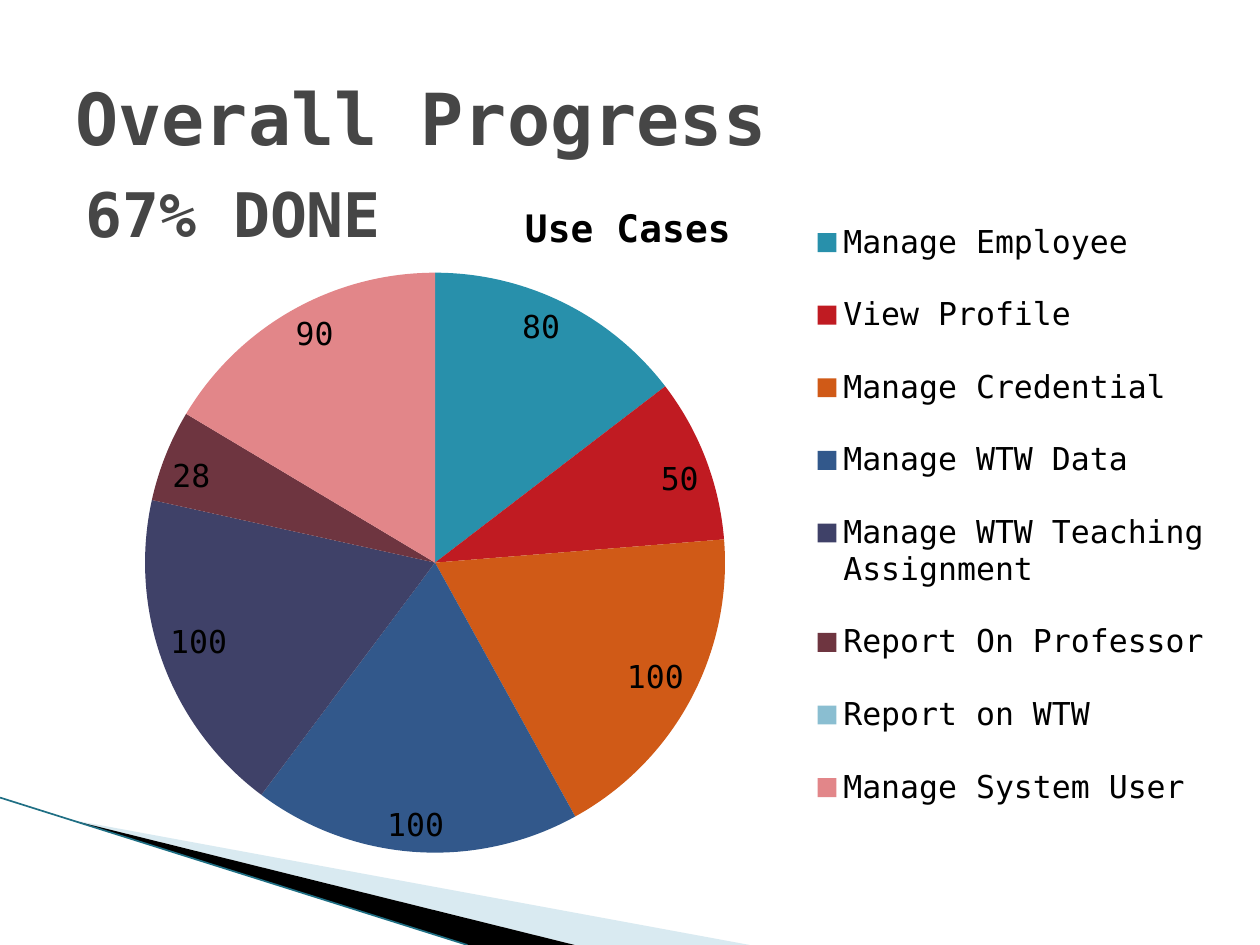
from dataclasses import dataclass

from lxml import etree
from pptx import Presentation
from pptx.chart.data import CategoryChartData
from pptx.dml.color import RGBColor
from pptx.enum.chart import XL_CHART_TYPE as ChartType
from pptx.enum.chart import XL_LABEL_POSITION as LabelPos
from pptx.enum.chart import XL_LEGEND_POSITION as LegendPos
from pptx.enum.shapes import MSO_CONNECTOR as Connector
from pptx.enum.text import MSO_ANCHOR as Anchor
from pptx.oxml import parse_xml
from pptx.oxml.ns import nsdecls, qn
from pptx.util import Inches, Pt


@dataclass(frozen=True)
class Theme:
    """Colours, font and type sizes of the slide."""
    font: str = "DejaVu Sans Mono"
    heading: str = "464646"
    ink: str = "000000"
    pale: str = "A0CBDC"
    edge: str = "1F6F84"
    title_pt: float = 41
    status_pt: float = 35.1
    chart_title_pt: float = 21.6
    chart_pt: float = 18


USE_CASES = [
    ("Manage Employee", 80, "2890AB"),
    ("View Profile", 50, "C01B22"),
    ("Manage Credential", 100, "D05A17"),
    ("Manage WTW Data", 100, "32588B"),
    ("Manage WTW Teaching Assignment", 100, "3F4168"),
    ("Report On Professor", 28, "6E3540"),
    ("Report on WTW", 0, "8ABED1"),
    ("Manage System User", 90, "E28689"),
]


def rgb(code):
    """Turn a hex code into a colour."""
    return RGBColor.from_string(code)


class Deck:
    """Holds the theme and the current slide; lengths are shares of the slide."""

    def __init__(self, theme, width=10, height=7.5):
        """Start a one-slide presentation on the blank layout."""
        self.theme = theme
        self.prs = Presentation()
        self.prs.slide_width, self.prs.slide_height = Inches(width), Inches(height)
        self.slide = self.prs.slides.add_slide(self.prs.slide_layouts[6])

    def x(self, share):
        """Length along the slide width."""
        return round(self.prs.slide_width * share)

    def y(self, share):
        """Length along the slide height."""
        return round(self.prs.slide_height * share)

    def box(self, left, top, width, height):
        """Position and size from four shares."""
        return self.x(left), self.y(top), self.x(width), self.y(height)

    def style(self, font, size, color, bold=False):
        """Set face, size, colour and weight."""
        font.name, font.size, font.bold = self.theme.font, Pt(size), bold
        font.color.rgb = rgb(color)

    def text(self, words, at, size, anchor, spacing=1.0):
        """Add a bold heading."""
        tf = self.slide.shapes.add_textbox(*self.box(*at)).text_frame
        tf.word_wrap, tf.vertical_anchor = True, anchor
        p = tf.paragraphs[0]
        p.line_spacing = spacing
        r = p.add_run()
        r.text = words
        self.style(r.font, size, self.theme.heading, True)

    def wedge(self, points, color, alpha=100):
        """Add a filled polygon without outline."""
        (x0, y0), *rest = [(self.x(a), self.y(b)) for a, b in points]
        fb = self.slide.shapes.build_freeform(x0, y0)
        fb.add_line_segments(rest, close=True)
        sp = fb.convert_to_shape()
        sp.shadow.inherit = False
        sp.fill.solid()
        sp.fill.fore_color.rgb = rgb(color)
        sp.line.fill.background()
        if alpha < 100:
            clr = sp.fill._xPr.find(".//" + qn("a:srgbClr"))
            etree.SubElement(clr, qn("a:alpha")).set("val", str(alpha * 1000))

    def line(self, start, end, color, width):
        """Add a straight line."""
        (x0, y0), (x1, y1) = start, end
        ln = self.slide.shapes.add_connector(
            Connector.STRAIGHT, self.x(x0), self.y(y0), self.x(x1), self.y(y1))
        ln.line.color.rgb, ln.line.width = rgb(color), Pt(width)
        etree.SubElement(ln._element.spPr, qn("a:effectLst"))

    def place(self, element, after, **shares):
        """Fix a chart part at shares of the chart area."""
        for old in element.findall(qn("c:layout")):
            element.remove(old)
        inner = '<c:layoutTarget val="inner"/>' if after is None else ""
        modes = "".join(f'<c:{k}Mode val="edge"/>' for k in "xy")
        values = "".join(f'<c:{k} val="{v}"/>' for k, v in shares.items())
        layout = parse_xml(f'<c:layout {nsdecls("c")}><c:manualLayout>{inner}'
                           f'{modes}{values}</c:manualLayout></c:layout>')
        if after is None:
            element.insert(0, layout)
        else:
            element.find(qn(after)).addnext(layout)

    def pie(self, title, rows, at):
        """Add a pie chart with value labels and a legend on the right."""
        t = self.theme
        data = CategoryChartData()
        data.categories = [name for name, _, _ in rows]
        data.add_series(title, [value for _, value, _ in rows])
        chart = self.slide.shapes.add_chart(
            ChartType.PIE, *self.box(*at), data).chart
        self.style(chart.font, t.chart_pt, t.ink)

        chart.has_title = True
        r = chart.chart_title.text_frame.paragraphs[0].add_run()
        r.text = title
        self.style(r.font, t.chart_title_pt, t.ink, True)
        self.place(chart.chart_title._element, "c:tx", x=0.41, y=0.04)

        chart.has_legend = True
        legend = chart.legend
        legend.position, legend.include_in_layout = LegendPos.RIGHT, False
        self.style(legend.font, t.chart_pt, t.ink)
        self.place(legend._element, "c:legendPos", x=0.65, y=0.03, w=0.35, h=0.93)

        plot = chart.plots[0]
        plot.vary_by_categories = True
        plot.has_data_labels = True
        labels = plot.data_labels
        labels.show_value, labels.position = True, LabelPos.INSIDE_END
        labels.number_format, labels.number_format_is_linked = "0;;;", False
        self.style(labels.font, t.chart_pt, t.ink)
        for i, (_, _, color) in enumerate(rows):
            fill = plot.series[0].points[i].format.fill
            fill.solid()
            fill.fore_color.rgb = rgb(color)
        area = chart._chartSpace.find(".//" + qn("c:plotArea"))
        self.place(area, None, x=0.095, y=0.15, w=0.49, h=0.825)


def main():
    """Build the progress slide."""
    theme = Theme()
    deck = Deck(theme)
    tip = (0.054, 0.867)
    deck.wedge([tip, (0.595, 1), (0.456, 1)], theme.pale, 40)
    deck.wedge([tip, (0.456, 1), (0.371, 1)], theme.ink)
    deck.line((0, 0.844), (0.371, 1), theme.edge, 0.95)
    deck.pie("Use Cases", USE_CASES, (0.025, 0.177, 0.942, 0.744))
    deck.text("Overall Progress", (0.05, 0.04, 0.9, 0.167),
              theme.title_pt, Anchor.MIDDLE)
    deck.text("67% DONE", (0.058, 0.189, 0.3, 0.167),
              theme.status_pt, Anchor.TOP, 0.9)
    deck.prs.save("out.pptx")


main()
